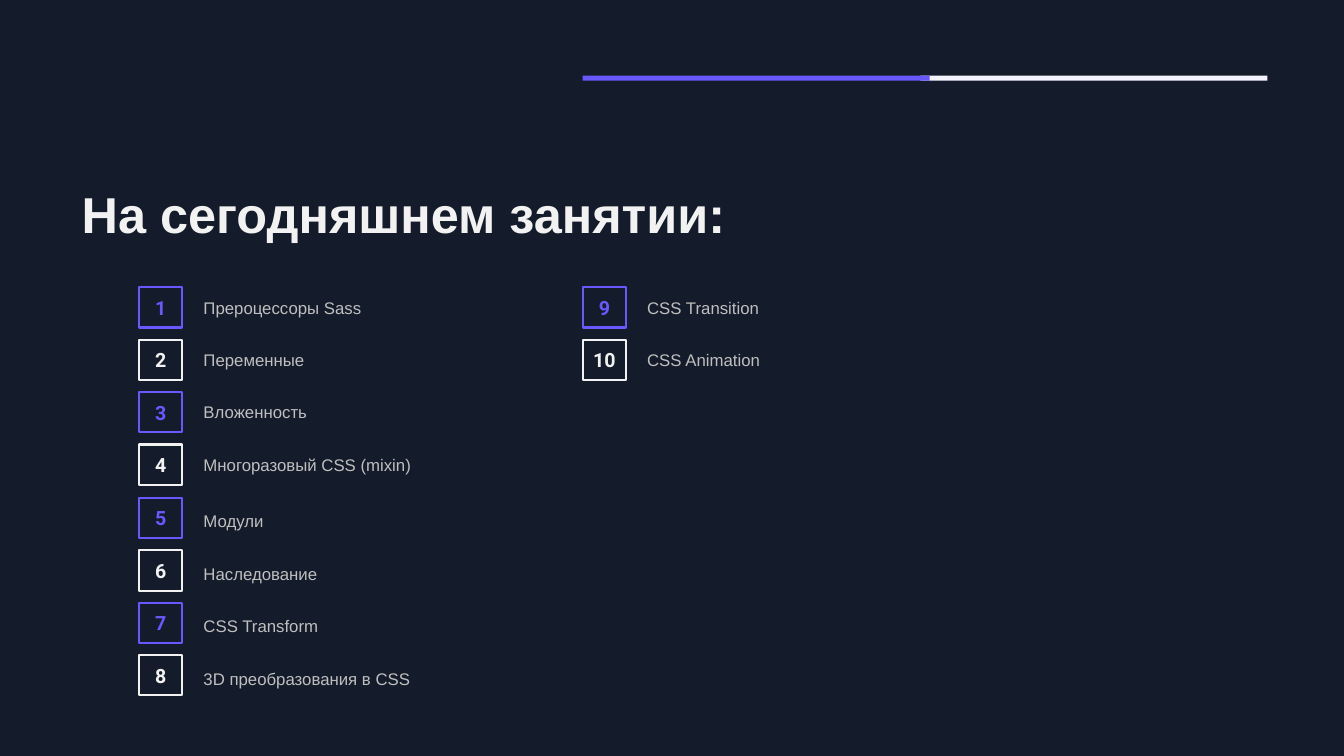
from pptx import Presentation
from pptx.dml.color import RGBColor
from pptx.enum.shapes import MSO_SHAPE
from pptx.enum.text import MSO_ANCHOR, MSO_AUTO_SIZE, PP_ALIGN
from pptx.util import Pt

RECT = MSO_SHAPE.RECTANGLE
MIDDLE = MSO_ANCHOR.MIDDLE
NO_FIT = MSO_AUTO_SIZE.NONE
LEFT, CENTER = PP_ALIGN.LEFT, PP_ALIGN.CENTER

PX = 9144
COLORS = {
    "back": "141B2A",
    "accent": "6759FE",
    "light": "F2F2F2",
    "pale": "F4F3FF",
    "label": "BFBFBF",
}
TOPICS = [
    "Прероцессоры Sass",
    "Переменные",
    "Вложенность",
    "Многоразовый CSS (mixin)",
    "Модули",
    "Наследование",
    "CSS Transform",
    "3D преобразования в CSS",
    "CSS Transition",
    "CSS Animation",
]
ROWS = 8


def emu(*sizes):
    """Turn px lengths into EMU."""
    return [size * PX for size in sizes]


def color(name):
    """Return the named colour."""
    return RGBColor.from_string(COLORS[name])


def write(shape, text, size, font, tint, bold=False, align=LEFT):
    """Put one formatted run into a shape and return its paragraph."""
    frame = shape.text_frame
    frame.auto_size = NO_FIT
    frame.vertical_anchor = MIDDLE
    para = frame.paragraphs[0]
    para.alignment = align
    run = para.add_run()
    run.text = text
    run.font.size = Pt(size)
    run.font.name = font
    run.font.bold = bold
    run.font.color.rgb = color(tint)
    return para


def add_title(slide, x, y, w, h):
    """Place the heading in the title placeholder."""
    title = slide.shapes.title
    title.left, title.top, title.width, title.height = emu(x, y, w, h)
    title.text_frame.word_wrap = True
    para = write(title, "На сегодняшнем занятии:", 36, "Arial", "light", True)
    para.line_spacing = 0.9


def add_bars(slide, x, y, w, h):
    """Draw the two-tone rule, with the accent half on top."""
    half = 344
    for left, tint in ((x + w - half, "pale"), (x, "accent")):
        bar = slide.shapes.add_shape(RECT, *emu(left, y, half, h))
        bar.shadow.inherit = False
        bar.fill.solid()
        bar.fill.fore_color.rgb = color(tint)
        bar.line.fill.background()


def add_badge(slide, x, y, w, h, number):
    """Draw an outlined number box, with odd numbers in the accent colour."""
    tint = "accent" if number % 2 else "light"
    badge = slide.shapes.add_shape(RECT, *emu(x, y, w, h))
    badge.shadow.inherit = False
    badge.fill.background()
    badge.line.color.rgb = color(tint)
    badge.line.width = Pt(1.5)
    badge.text_frame.word_wrap = False
    write(badge, str(number), 14, "Roboto", tint, True, CENTER)


def add_label(slide, x, y, w, h, text):
    """Place the name of a topic."""
    label = slide.shapes.add_textbox(*emu(x, y, w, h))
    label.text_frame.word_wrap = True
    write(label, text, 12, "Arial", "label")


def add_topics(slide, x, y, w, h):
    """Lay out the numbered topics in columns filled from the top."""
    badge_h, gap = 40, 440
    for index, text in enumerate(TOPICS):
        col, row = divmod(index, ROWS)
        left = x + col * gap
        top = y + round(row * (h - badge_h) / (ROWS - 1))
        drop = 3 if row < ROWS // 2 else 6
        add_badge(slide, left, top, 43, badge_h, index + 1)
        add_label(slide, left + 54, top + drop, w - gap - 54, 34, text)


def main():
    """Build and save the agenda slide."""
    deck = Presentation()
    deck.slide_width, deck.slide_height = emu(1333, 750)
    slide = deck.slides.add_slide(deck.slide_layouts[5])
    slide.background.fill.solid()
    slide.background.fill.fore_color.rgb = color("back")
    add_title(slide, 71, 182, 850, 66)
    add_bars(slide, 578, 75, 679, 5)
    add_topics(slide, 138, 285, 920, 405)
    deck.save("out.pptx")


if __name__ == "__main__":
    main()
